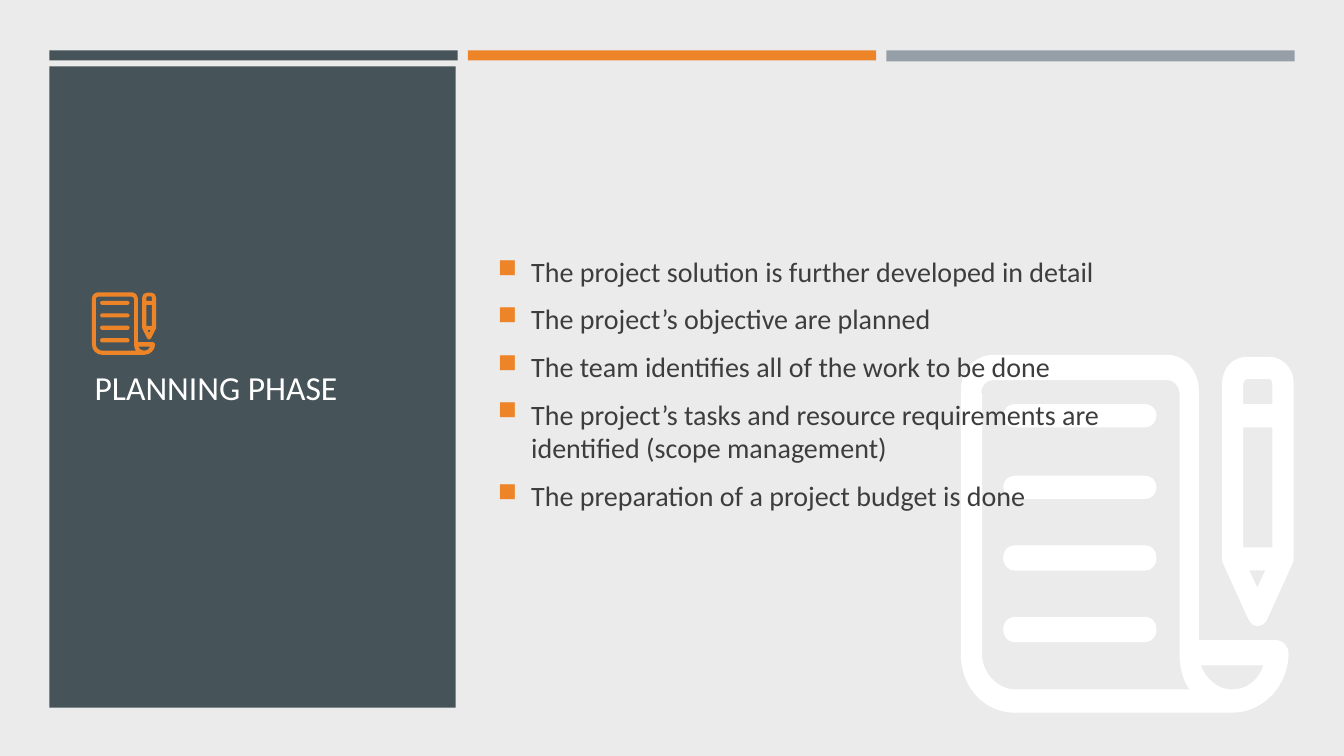
from dataclasses import dataclass

from lxml import etree
from pptx import Presentation
from pptx.dml.color import RGBColor
from pptx.enum.shapes import MSO_SHAPE
from pptx.enum.text import MSO_ANCHOR
from pptx.oxml.ns import qn
from pptx.util import Pt

EMU_PER_PX = 9144  # 100 px to the inch
RECTANGLE = MSO_SHAPE.RECTANGLE
MIDDLE = MSO_ANCHOR.MIDDLE
FONT = "Calibri"
BULLET_FONT = "OpenSymbol"
COLORS = {
    "background": "EBEBEB",
    "slate": "465359",
    "orange": "ED8428",
    "gray": "969FA7",
    "white": "FFFFFF",
    "text": "3D3D3D",
}
Point = tuple[int, int]


@dataclass(frozen=True)
class Box:
    left: int
    top: int
    width: int
    height: int
    color: str


PANELS = [
    Box(49, 50, 405, 10, "slate"),
    Box(879, 50, 405, 11, "gray"),
    Box(464, 50, 405, 10, "orange"),
    Box(49, 66, 403, 636, "slate"),
]
LARGE_ICON = Box(952, 352, 332, 355, "white")
SMALL_ICON = Box(91, 290, 64, 62, "orange")
BODY_BOX = Box(484, 146, 727, 509, "text")
TITLE_BOX = Box(84, 290, 332, 188, "white")
BULLETS = [
    "The project solution is further developed in detail",
    "The project’s objective are planned",
    "The team identifies all of the work to be done",
    "The project’s tasks and resource requirements are identified (scope management)",
    "The preparation of a project budget is done",
]

# Icon outlines on a grid of 332 by 355: M starts a contour, L is a line, C a curve
ICON_WIDTH, ICON_HEIGHT = 332, 355
SCROLL = """
M 206 25 C 212 25 218 31 218 38 L 218 297 C 218 310 221 323 228 332
L 55 332 C 38 332 22 316 22 297 L 22 38 L 21 38 C 21 31 26 25 33 25
M 301 308 C 297 322 285 332 270 332 C 256 332 244 322 239 308
M 33 0 C 15 0 1 16 1 35 L 1 295 C 0 330 25 355 54 355 L 270 355
C 301 355 326 328 326 296 C 326 289 320 283 314 283
L 237 283 L 237 35 C 237 16 223 0 206 0
"""
PENCIL = """
M 307 24 C 309 24 310 26 310 29 L 310 49 L 281 49 L 281 29 C 281 26 283 24 285 24
M 310 72 L 310 191 L 281 191 L 281 72
M 303 214 L 295 231 L 287 214
M 285 2 C 270 2 260 14 260 29 L 260 201 C 260 204 260 205 261 207
L 286 262 C 289 267 291 269 295 269 C 299 269 303 267 305 262
L 330 207 C 331 206 331 204 331 201 L 331 29 C 332 14 320 2 307 2
"""
WRITING_LINES = [(49, 23), (120, 23), (189, 25), (260, 25)]  # top, height


def px(length: float) -> int:
    return round(length * EMU_PER_PX)


def rgb(color: str) -> RGBColor:
    return RGBColor.from_string(COLORS[color])


def style(shape, color: str) -> None:
    shape.shadow.inherit = False
    shape.fill.solid()
    shape.fill.fore_color.rgb = rgb(color)
    shape.line.fill.background()


def add_panel(slide, box: Box) -> None:
    shape = slide.shapes.add_shape(
        RECTANGLE, px(box.left), px(box.top), px(box.width), px(box.height))
    style(shape, box.color)


def writing_line(top: int, height: int) -> str:
    middle, bottom = top + height // 2, top + height
    return (f"M 54 {top} C 48 {top} 43 {top + 5} 43 {middle} "
            f"C 43 {bottom - 5} 48 {bottom} 54 {bottom} L 184 {bottom} "
            f"C 190 {bottom} 195 {bottom - 5} 195 {middle} "
            f"C 195 {top + 5} 190 {top} 184 {top}")


def place_contours(outline: str, icon: Box) -> list[list[list[Point]]]:
    """Return contours of segments; a curve has three points, the others one."""
    contours: list[list[list[Point]]] = []
    tokens = iter(outline.split())
    for command in tokens:
        segment = [
            (px(icon.left + int(next(tokens)) * icon.width / ICON_WIDTH),
             px(icon.top + int(next(tokens)) * icon.height / ICON_HEIGHT))
            for _ in range(3 if command == "C" else 1)]
        if command == "M":
            contours.append([])
        contours[-1].append(segment)
    return contours


def bend_curves(shape, segments: list[list[Point]]) -> None:
    """Turn the line of each three-point segment into a Bézier curve."""
    lines = list(shape._element.iter(qn("a:lnTo")))
    for line, segment in zip(lines, segments):
        if len(segment) == 3:
            curve = etree.Element(qn("a:cubicBezTo"))
            for x, y in segment:
                etree.SubElement(curve, qn("a:pt"),
                                 x=str(x - shape.left), y=str(y - shape.top))
            line.getparent().replace(line, curve)


def add_icon(slide, icon: Box) -> None:
    group = slide.shapes.add_group_shape()
    lines = [writing_line(top, height) for top, height in WRITING_LINES]
    for outline in [SCROLL, *lines, PENCIL]:
        contours = place_contours(outline, icon)
        builder = group.shapes.build_freeform(*contours[0][0][-1])
        for index, (start, *segments) in enumerate(contours):
            if index:
                builder.move_to(*start[-1])
            builder.add_line_segments([segment[-1] for segment in segments], close=True)
        shape = builder.convert_to_shape()
        bend_curves(shape, [segment for contour in contours for segment in contour[1:]])
        style(shape, icon.color)


def add_bullet(paragraph, indent: int) -> None:
    properties = paragraph._p.get_or_add_pPr()
    properties.set("marL", str(px(indent)))
    properties.set("indent", str(-px(indent)))
    color = etree.SubElement(properties, qn("a:buClr"))
    etree.SubElement(color, qn("a:srgbClr"), val=COLORS["orange"])
    etree.SubElement(properties, qn("a:buSzPct"), val="92000")
    etree.SubElement(properties, qn("a:buFont"), typeface=BULLET_FONT)
    etree.SubElement(properties, qn("a:buChar"), char="■")


def add_text(slide, box: Box, lines: list[str], *, size: int, bulleted: bool = False,
             before: float = 0, after: float = 0, bottom_inset: int = 5) -> None:
    shape = slide.shapes.add_textbox(
        px(box.left), px(box.top), px(box.width), px(box.height))
    frame = shape.text_frame
    frame.word_wrap = True
    frame.vertical_anchor = MIDDLE
    frame.margin_bottom = px(bottom_inset)
    for index, line in enumerate(lines):
        paragraph = frame.add_paragraph() if index else frame.paragraphs[0]
        paragraph.space_before = Pt(before)
        paragraph.space_after = Pt(after)
        if bulleted:
            add_bullet(paragraph, 33)
        run = paragraph.add_run()
        run.text = line
        run.font.name = FONT
        run.font.size = Pt(size)
        run.font.color.rgb = rgb(box.color)


def main() -> None:
    presentation = Presentation()
    presentation.slide_width = px(1333)
    presentation.slide_height = px(750)
    slide = presentation.slides.add_slide(presentation.slide_layouts[6])
    slide.background.fill.solid()
    slide.background.fill.fore_color.rgb = rgb("background")

    # Top bars and title panel
    for panel in PANELS:
        add_panel(slide, panel)

    # Large icon behind the text, then the text and the small icon
    add_icon(slide, LARGE_ICON)
    add_text(slide, BODY_BOX, BULLETS, size=20, bulleted=True,
             before=4, after=6, bottom_inset=46)
    add_text(slide, TITLE_BOX, ["PLANNING PHASE"], size=24)
    add_icon(slide, SMALL_ICON)

    presentation.save("out.pptx")


if __name__ == "__main__":
    main()
